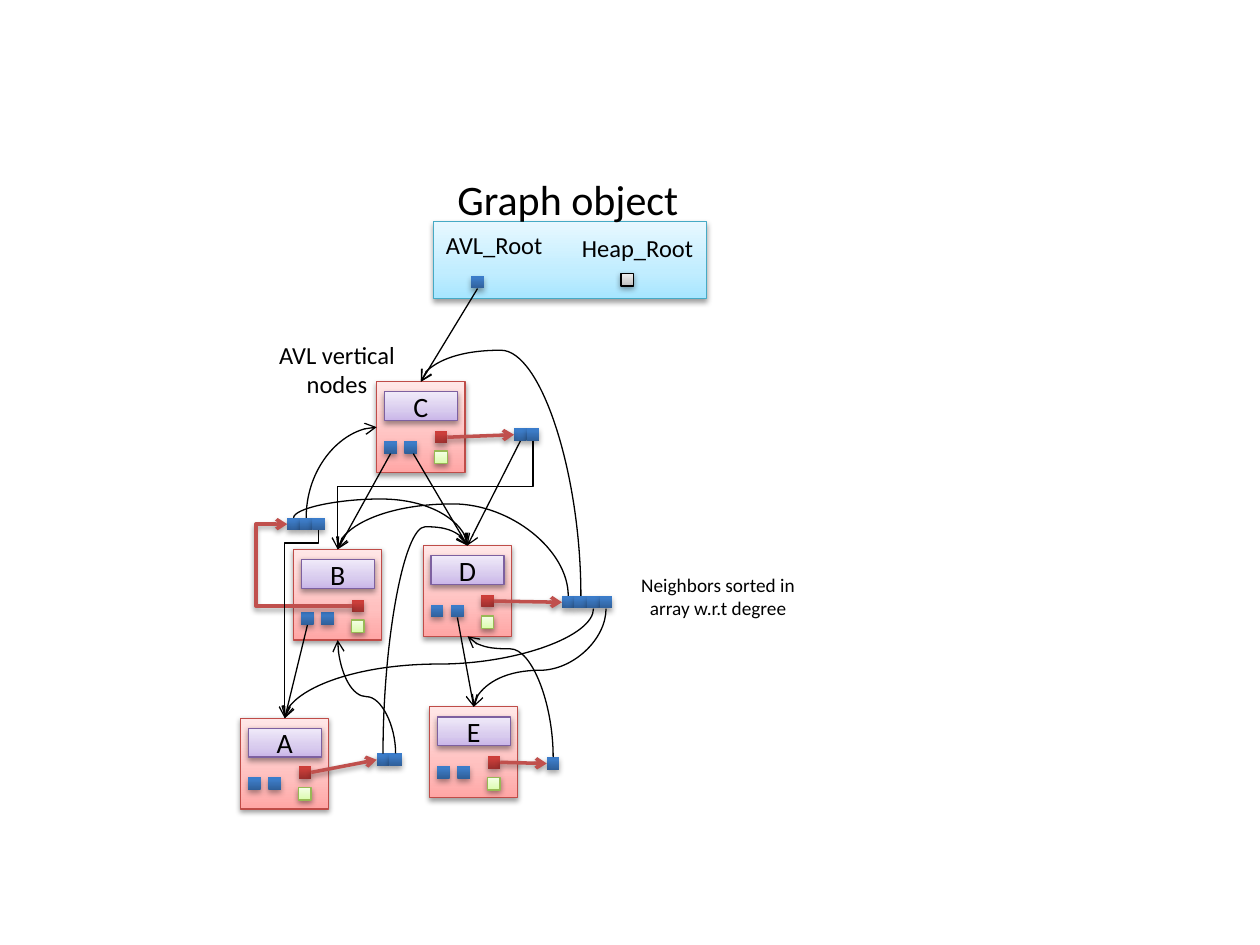
from lxml import etree
from pptx import Presentation
from pptx.dml.color import RGBColor
from pptx.enum.shapes import MSO_CONNECTOR, MSO_SHAPE
from pptx.enum.text import MSO_ANCHOR, MSO_AUTO_SIZE, PP_ALIGN
from pptx.oxml import parse_xml
from pptx.oxml.ns import nsdecls, qn
from pptx.util import Cm, Pt

BLACK = RGBColor(0, 0, 0)
RED = RGBColor(0xC0, 0x50, 0x4D)

# Each style: bottom-to-top gradient stops, then outline colour
NODE = ([(0, "FFA6A5"), (35, "FFC0BF"), (100, "FFE7E7")], RGBColor(0xBF, 0x4C, 0x48))
GRAPH = ([(0, "A7E6FF"), (35, "C1EDFF"), (100, "E7F8FF")], RGBColor(0x46, 0xAA, 0xC5))
LABEL = ([(0, "C9B5E8"), (35, "D8CBEE"), (100, "F0EAF9")], RGBColor(0x7D, 0x60, 0xA0))
HEAP = ([(0, "DAFDA7"), (35, "E4FCC2"), (100, "F5FFE7")], RGBColor(0x98, 0xB9, 0x55))
EMPTY = ([(0, "BDBDBD"), (35, "D1D1D1"), (100, "EEEEEE")], BLACK)
LINK = ([(0, "2F5F99"), (80, "3D7CC7"), (100, "3A7CCB")], None)
ARRAY_LINK = ([(0, "9C2F2D"), (80, "CB3E3A"), (100, "CE3B37")], None)

CELL = 0.1

# Name: left, top, then vertical offsets of array link, child links, heap cell
NODES = {
    "C": (2.99, 3.03, 0.39, 0.47, 0.55),
    "D": (3.36, 4.33, 0.39, 0.47, 0.56),
    "B": (2.33, 4.36, 0.40, 0.50, 0.56),
    "E": (3.41, 5.61, 0.39, 0.47, 0.56),
    "A": (1.91, 5.70, 0.38, 0.47, 0.55),
}
# Neighbor arrays: left, top, number of cells
ARRAYS = [(4.08, 3.40, 2), (4.46, 4.73, 4), (2.28, 4.11, 3),
          (4.34, 6.01, 1), (2.99, 5.98, 2)]

TREE_LINKS = [((3.79, 2.29), (3.34, 3.03)), ((3.10, 3.60), (2.68, 4.36)),
              ((3.28, 3.60), (3.71, 4.33)), ((3.63, 4.90), (3.76, 5.61)),
              ((2.44, 4.96), (2.26, 5.70)), ((4.13, 3.50), (3.71, 4.33))]
ARRAY_ARROWS = [((3.55, 3.47), (4.08, 3.45)), ((3.92, 4.77), (4.46, 4.78)),
                ((3.97, 6.05), (4.34, 6.06)), ((2.47, 6.13), (2.99, 6.03))]
# Start, end, height of the middle section
CURVES = [((4.51, 4.73), (2.68, 4.36), 4.00), ((4.61, 4.73), (3.34, 3.03), 2.78),
          ((4.71, 4.83), (2.26, 5.70), 5.27), ((4.81, 4.83), (3.76, 5.61), 5.32),
          ((2.33, 4.11), (3.71, 4.33), 3.96), ((3.04, 5.98), (3.71, 4.33), 4.18),
          ((3.14, 5.98), (2.68, 5.08), 5.53), ((4.39, 6.01), (3.71, 5.05), 5.15)]
ELBOWS = [((2.53, 4.21), (2.26, 5.70), 4.31), ((4.23, 3.50), (2.68, 4.36), 3.86)]


def inch(v):
    return Cm(round(v * 2.54, 3))


def add_shadow(sp, alpha=38, dist=20000):
    sp._element.spPr.append(parse_xml(
        f'<a:effectLst {nsdecls("a")}><a:outerShdw blurRad="40000" dist="{dist}" '
        f'dir="5400000" rotWithShape="0"><a:srgbClr val="000000">'
        f'<a:alpha val="{alpha * 1000}"/></a:srgbClr></a:outerShdw></a:effectLst>'))


def set_text(sp, lines, size, align=None):
    tf = sp.text_frame
    tf.text = "\n".join(lines)
    for p in tf.paragraphs:
        p.font.size, p.font.name = Pt(size), "Calibri"
        p.font.color.rgb = BLACK
        p.alignment = align
    return tf


def add_box(s, x, y, w, h, style, text=None):
    stops, line = style
    sp = s.shapes.add_shape(MSO_SHAPE.RECTANGLE, *map(inch, (x, y, w, h)))
    gs = "".join(f'<a:gs pos="{pos * 1000}"><a:srgbClr val="{rgb}"/></a:gs>'
                 for pos, rgb in stops)
    sp._element.spPr.append(parse_xml(
        f'<a:gradFill {nsdecls("a")} rotWithShape="1"><a:gsLst>{gs}</a:gsLst>'
        f'<a:lin ang="16200000" scaled="0"/></a:gradFill>'))
    if line is None:
        sp.line.fill.background()
        add_shadow(sp, 35, 23000)
    else:
        sp.line.color.rgb, sp.line.width = line, Pt(0.75)
        add_shadow(sp)
    if text:
        tf = set_text(sp, [text], 16, PP_ALIGN.CENTER)
        tf.vertical_anchor = MSO_ANCHOR.MIDDLE


def add_cell(s, x, y, style):
    add_box(s, x, y, CELL, CELL, style)


def add_label(s, x, y, w, h, lines, size, wrap=False):
    sp = s.shapes.add_textbox(*map(inch, (x, y, w, h)))
    tf = set_text(sp, lines, size, PP_ALIGN.CENTER if wrap else None)
    tf.word_wrap = wrap
    tf.auto_size = MSO_AUTO_SIZE.SHAPE_TO_FIT_TEXT


def add_node(s, name, x, y, array_dy, child_dy, heap_dy):
    add_box(s, x, y, 0.7, 0.72, NODE)
    add_box(s, x + 0.06, y + 0.08, 0.58, 0.23, LABEL, name)
    for dx in (0.06, 0.22):
        add_cell(s, x + dx, y + child_dy, LINK)
    add_cell(s, x + 0.46, y + array_dy, ARRAY_LINK)
    add_cell(s, x + 0.46, y + heap_dy, HEAP)


def add_arrow(s, start, end, kind=MSO_CONNECTOR.STRAIGHT, color=BLACK):
    sp = s.shapes.add_connector(kind, *map(inch, start + end))
    sp.line.color.rgb = color
    sp.line.width = Pt(2 if color == RED else 0.75)
    etree.SubElement(sp.line._get_or_add_ln(), qn("a:tailEnd"), type="arrow")
    if color == RED:
        add_shadow(sp)
    else:
        etree.SubElement(sp._element.spPr, qn("a:effectLst"))
    return sp


def add_route(s, start, end, kind, adj=None, preset=None, vertical=True, color=BLACK):
    """Bent or curved arrow; a vertical one leaves its start up or down."""
    (x1, y1), (x2, y2) = start, end
    dx, dy = x2 - x1, y2 - y1
    sp = add_arrow(s, start, end, kind, color)
    if vertical:
        w, h = abs(dy), abs(dx)
        rot, flip = (90, dx > 0) if dy > 0 else (270, dx < 0)
    else:
        w, h = abs(dx), abs(dy)
        rot, flip = (0, dy < 0) if dx > 0 else (180, dy > 0)
    sp.left, sp.top = inch((x1 + x2 - w) / 2), inch((y1 + y2 - h) / 2)
    sp.width, sp.height = inch(w), inch(h)
    # Turn the frame so that its first section points along the route
    xfrm = sp._element.spPr.find(qn("a:xfrm"))
    for key, value in (("rot", rot * 60000), ("flipH", 0), ("flipV", int(flip))):
        xfrm.set(key, str(value))
    geom = sp._element.spPr.find(qn("a:prstGeom"))
    if preset:
        geom.set("prst", preset)
    if adj is not None:
        guides = geom.find(qn("a:avLst"))
        etree.SubElement(guides, qn("a:gd"), name="adj1", fmla=f"val {round(adj * 100000)}")


def main():
    prs = Presentation()
    prs.slide_width, prs.slide_height = Cm(25.4), Cm(19.05)
    s = prs.slides.add_slide(prs.slide_layouts[5])

    # Graph object, with its title in front of the box
    add_box(s, 3.44, 1.76, 2.17, 0.61, GRAPH)
    title = s.shapes.title
    title.left, title.top, title.width, title.height = map(inch, (3.53, 1.33, 1.97, 0.5))
    tf = set_text(title, ["Graph object"], 24, PP_ALIGN.LEFT)
    tf.word_wrap, tf.vertical_anchor = False, MSO_ANCHOR.TOP
    tf.auto_size = MSO_AUTO_SIZE.SHAPE_TO_FIT_TEXT
    s.shapes._spTree.append(title._element)
    add_label(s, 3.44, 1.78, 0.98, 0.34, ["AVL_Root"], 14)
    add_label(s, 4.52, 1.80, 1.10, 0.34, ["Heap_Root"], 14)
    add_cell(s, 3.74, 2.19, LINK)
    add_cell(s, 4.93, 2.17, EMPTY)

    # Tree nodes and neighbor arrays
    for name, place in NODES.items():
        add_node(s, name, *place)
    for x, y, count in ARRAYS:
        for i in range(count):
            add_cell(s, x + i * CELL, y, LINK)
    add_label(s, 1.61, 2.65, 2.13, 0.57, ["AVL vertical", "nodes"], 14, wrap=True)
    add_label(s, 4.57, 4.50, 2.26, 0.47,
              ["Neighbors sorted in", "array w.r.t degree"], 11, wrap=True)

    # Straight arrows
    for start, end in ARRAY_ARROWS:
        add_arrow(s, start, end, color=RED)
    for start, end in TREE_LINKS:
        add_arrow(s, start, end)

    # Routed arrows
    add_route(s, (2.79, 4.81), (2.28, 4.16), MSO_CONNECTOR.ELBOW, 1.49,
              vertical=False, color=RED)
    for kind, routes in ((MSO_CONNECTOR.CURVE, CURVES), (MSO_CONNECTOR.ELBOW, ELBOWS)):
        for start, end, middle in routes:
            adj = (middle - start[1]) / (end[1] - start[1])
            add_route(s, start, end, kind, adj)
    add_route(s, (2.43, 4.11), (2.99, 3.39), MSO_CONNECTOR.CURVE, preset="curvedConnector2")

    prs.save("out.pptx")


main()
